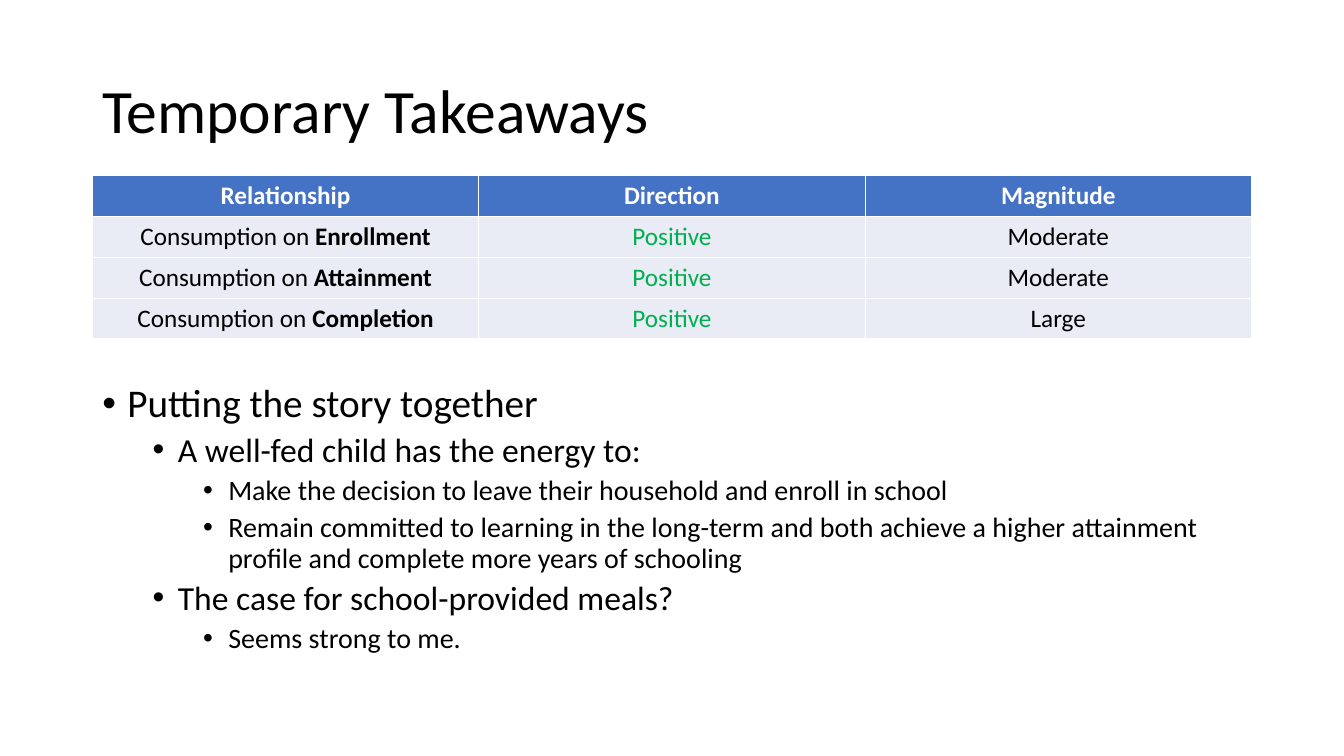
from lxml import etree
from pptx import Presentation
from pptx.dml.color import RGBColor
from pptx.enum import text
from pptx.oxml.ns import qn
from pptx.util import Pt

BLACK = RGBColor(0x00, 0x00, 0x00)
WHITE = RGBColor(0xFF, 0xFF, 0xFF)
BLUE = RGBColor(0x44, 0x72, 0xC4)
PALE_BLUE = RGBColor(0xE9, 0xEB, 0xF5)
GREEN = RGBColor(0x00, 0xB0, 0x50)
FONT = "Calibri"

HEADINGS = ["Relationship", "Direction", "Magnitude"]
FINDINGS = [
    ("Enrollment", "Positive", "Moderate"),
    ("Attainment", "Positive", "Moderate"),
    ("Completion", "Positive", "Large"),
]
STORY = [
    (0, "Putting the story together"),
    (1, "A well-fed child has the energy to:"),
    (2, "Make the decision to leave their household and enroll in school"),
    (2, "Remain committed to learning in the long-term and both achieve "
        "a higher attainment profile and complete more years of schooling"),
    (1, "The case for school-provided meals?"),
    (2, "Seems strong to me."),
]
LEVEL_SIZES = [28, 24, 20]


def add_run(p, words, size, color=BLACK, bold=False):
    r = p.add_run()
    r.text = words
    r.font.name = FONT
    r.font.size = Pt(size)
    r.font.bold = bold
    r.font.color.rgb = color


def add_text_frame(slide, left, top, width, height):
    tf = slide.shapes.add_textbox(Pt(left), Pt(top), Pt(width), Pt(height)).text_frame
    tf.word_wrap = True
    return tf


def add_title(slide, left, top, width, height):
    tf = add_text_frame(slide, left, top, width, height)
    tf.vertical_anchor = text.MSO_ANCHOR.MIDDLE
    p = tf.paragraphs[0]
    p.line_spacing = 0.9
    add_run(p, "Temporary Takeaways", 44)


def fill_cell(cell, fill, *runs):
    cell.fill.solid()
    cell.fill.fore_color.rgb = fill
    p = cell.text_frame.paragraphs[0]
    p.alignment = text.PP_ALIGN.CENTER
    for words, color, bold in runs:
        add_run(p, words, 18, color, bold)


def add_findings(slide, left, top, width, height):
    # The default table style supplies the white cell borders
    table = slide.shapes.add_table(len(FINDINGS) + 1, len(HEADINGS), Pt(left), Pt(top),
                                   Pt(width), Pt(height)).table
    table.horz_banding = False
    for col, heading in enumerate(HEADINGS):
        fill_cell(table.cell(0, col), BLUE, (heading, WHITE, True))
    for row, (outcome, direction, magnitude) in enumerate(FINDINGS, start=1):
        fill_cell(table.cell(row, 0), PALE_BLUE,
                  ("Consumption on ", BLACK, False), (outcome, BLACK, True))
        fill_cell(table.cell(row, 1), PALE_BLUE, (direction, GREEN, False))
        fill_cell(table.cell(row, 2), PALE_BLUE, (magnitude, BLACK, False))


def set_bullet(p, level):
    pPr = p._p.get_or_add_pPr()
    pPr.set("marL", str(Pt(18 + 36 * level)))
    pPr.set("indent", str(Pt(-18)))
    etree.SubElement(pPr, qn("a:buFont")).set("typeface", "Arial")
    etree.SubElement(pPr, qn("a:buChar")).set("char", "•")


def add_story(slide, left, top, width, height):
    tf = add_text_frame(slide, left, top, width, height)
    for i, (level, words) in enumerate(STORY):
        p = tf.add_paragraph() if i else tf.paragraphs[0]
        p.level = level
        p.line_spacing = 0.9
        p.space_before = Pt(5 if level else 10)
        set_bullet(p, level)
        add_run(p, words, LEVEL_SIZES[level])


def main():
    prs = Presentation()
    prs.slide_width, prs.slide_height = Pt(960), Pt(540)
    slide = prs.slides.add_slide(prs.slide_layouts[6])

    # Title, table and bullets share one column
    left, width = 66, 828
    add_title(slide, left, 28.75, width, 104.4)
    add_findings(slide, left, 125.4, width, 116.8)
    add_story(slide, left, 270.7, width, 242)

    prs.save("out.pptx")


if __name__ == "__main__":
    main()
